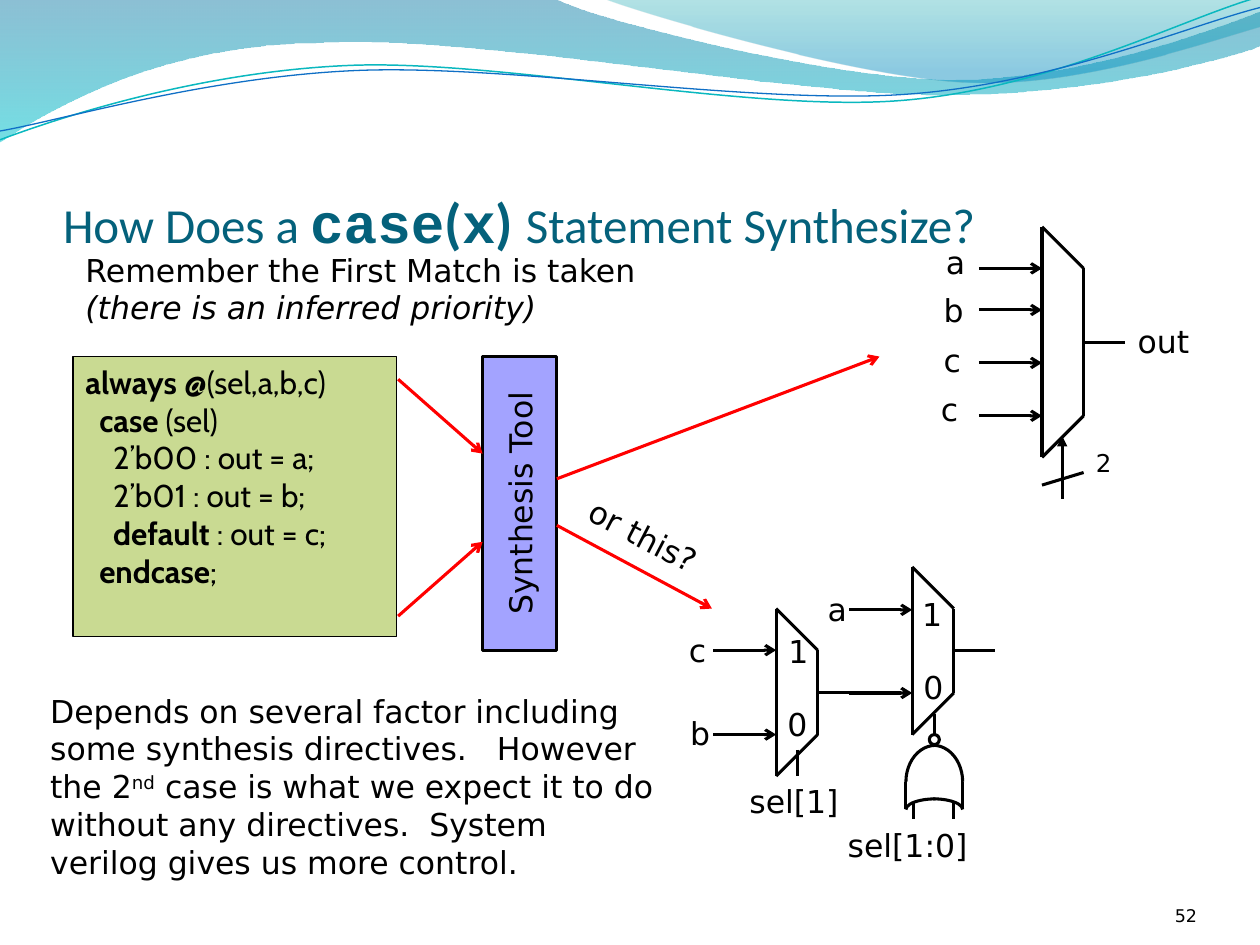
import pptx
import pptx.util
import pptx.dml.color
import pptx.enum.shapes
import pptx.enum.text
import pptx.oxml
import pptx.oxml.ns

Inches, Pt = pptx.util.Inches, pptx.util.Pt
SHAPE = pptx.enum.shapes.MSO_SHAPE
ANCHOR = pptx.enum.text.MSO_ANCHOR
ALIGN = pptx.enum.text.PP_ALIGN
qn = pptx.oxml.ns.qn

BASE = {"name": "DejaVu Sans", "size": Pt(18)}
BOLD = {"bold": True}


def color(code):
    """Turn a hex string into a colour."""
    return pptx.dml.color.RGBColor.from_string(code)


def node(tag, **attrs):
    """Make one drawing element."""
    made = pptx.oxml.parse_xml(
        '<a:%s xmlns:a="http://schemas.openxmlformats.org/drawingml/2006/main"/>' % tag)
    for key, val in attrs.items():
        made.set(key, val)
    return made


def fade(part, pct):
    """Set the opacity of every colour below an element."""
    for clr in part.iter(qn("a:srgbClr")):
        clr.append(node("alpha", val=str(pct * 1000)))


def write(frame, paras, look=BASE, hue="000000", align=ALIGN.LEFT, **form):
    """Fill a text frame with paragraphs of (text, format) runs."""
    for key, val in form.items():
        setattr(frame, key, val)
    for num, runs in enumerate(paras):
        para = frame.add_paragraph() if num else frame.paragraphs[0]
        para.alignment = align
        for text, extra in runs:
            run = para.add_run()
            run.text = text
            run.font.color.rgb = color(hue)
            for key, val in {**look, **extra}.items():
                setattr(run.font, key, val)


def label(slide, text, x, y, w=0.36, h=0.4, size=18, turn=0):
    """Place a short unwrapped text."""
    box = slide.shapes.add_textbox(Inches(x), Inches(y), Inches(w), Inches(h))
    box.rotation = turn
    write(box.text_frame, [[(text, {})]], {**BASE, "size": Pt(size)}, word_wrap=False)


def wire(slide, x1, y1, x2, y2, tip=None, hue="000000"):
    """Draw a straight line, with an optional arrowhead at its end."""
    line = slide.shapes.add_connector(
        pptx.enum.shapes.MSO_CONNECTOR.STRAIGHT,
        Inches(x1), Inches(y1), Inches(x2), Inches(y2))
    line.line.width = Pt(1.75)
    line.line.color.rgb = color(hue)
    if tip:
        line.line._get_or_add_ln().append(node("tailEnd", type=tip))
    line._element.spPr.append(node("effectLst"))


def shape(slide, kind, x, y, w, h, fill=None, width=1.75, turn=0):
    """Add a black-lined preset shape."""
    made = slide.shapes.add_shape(kind, Inches(x), Inches(y), Inches(w), Inches(h))
    made.shadow.inherit = False
    made.rotation = turn
    made.line.color.rgb = color("000000")
    made.line.width = Pt(width)
    if fill:
        made.fill.solid()
        made.fill.fore_color.rgb = color(fill)
    else:
        made.fill.background()
    return made


def trace(slide, start, parts, close):
    """Draw an outline: two numbers make a line, six make a cubic curve."""
    pts = [(Inches(part[i]), Inches(part[i + 1]))
           for part in parts for i in range(0, len(part), 2)]
    form = slide.shapes.build_freeform(Inches(start[0]), Inches(start[1]))
    form.add_line_segments(pts, close=close)
    made = form.convert_to_shape()
    made.shadow.inherit = False
    legs = iter(list(made._element.spPr.iter(qn("a:lnTo"))))
    for part in parts:
        group = [next(legs) for _ in range(len(part) // 2)]
        if len(group) == 3:
            bend = node("cubicBezTo")
            group[0].addprevious(bend)
            for leg in group:
                bend.append(leg[0])
                leg.getparent().remove(leg)
    return made


def waves(slide):
    """Draw the banner of two bands and two thin lines."""
    wide = [(4.4, -0.01), (4.76, 0.17, 6.64, 0.63, 7.58, 0.63),
            (8.53, 0.63, 9.58, 0.26, 10, 0.09), (10.01, 0.36),
            (9.83, 0.44, 8.7, 0.76, 7.46, 0.75), (6.22, 0.75, 3.82, 0.28, 2.57, 0.34),
            (1.29, 0.35, 0.46, 0.83, -0.01, 1.13)]
    right = [(5.09, 0.11, 6.82, 0.62, 7.69, 0.65), (8.56, 0.69, 9.61, 0.32, 10, 0.21), (10, 0)]
    bands = [((0, -0.01), wide, (("0074A1", 45, 0), ("00C6CF", 55, 1))),
             ((4.79, -0.01), right, (("00A1A9", 30, 0), ("008BBF", 45, 0.8)))]
    for start, parts, stops in bands:
        band = trace(slide, start, parts, True)
        band.line.fill.background()
        band.fill.gradient()
        band.fill.gradient_angle = 270
        marks = band._element.spPr.iter(qn("a:gs"))
        for stop, mark, (hue, pct, pos) in zip(band.fill.gradient_stops, marks, stops):
            stop.color.rgb = color(hue)
            stop.position = pos
            fade(mark, pct)
    upper = [(0.48, 0.93, 1.58, 0.57, 2.77, 0.52), (3.95, 0.47, 5.93, 0.89, 7.13, 0.8),
             (8.33, 0.71, 9.38, 0.15, 9.98, -0.02)]
    lower = [(0.47, 0.96, 1.64, 0.61, 2.83, 0.56), (4.03, 0.51, 5.97, 0.83, 7.17, 0.75),
             (8.36, 0.67, 9.41, 0.21, 10, 0.06)]
    for top, parts, hue, width in ((1.11, upper, "0AB8BF", 0.85), (1.04, lower, "0F6FC6", 0.75)):
        line = trace(slide, (0, top), parts, False)
        line.fill.background()
        line.line.color.rgb = color(hue)
        line.line.width = Pt(width)


def head(slide, x, y, w, h):
    """Fill the title placeholder."""
    title = slide.shapes.title
    spot = {"left": x, "top": y, "width": w, "height": h}
    for key, val in spot.items():
        setattr(title, key, Inches(val))
    big = {"size": Pt(32), "bold": True}
    mono = {**big, "name": "Courier New"}
    write(title.text_frame,
          [[("How Does a ", {}), ("case", mono), ("(", big), ("x", mono), (") ", big),
            ("Statement Synthesize?", {})]],
          {"name": "Calibri", "size": Pt(28)}, "04617B",
          vertical_anchor=ANCHOR.BOTTOM, word_wrap=True, margin_left=0, margin_right=0,
          margin_top=Inches(0.05), margin_bottom=0,
          auto_size=pptx.enum.text.MSO_AUTO_SIZE.NONE)


def code(slide, x, y, w, h):
    """Draw the box of source code, indented by level."""
    box = shape(slide, SHAPE.RECTANGLE, x, y, w, h, "C9DA92", 0.75)
    rows = [(0, [("always", BOLD), (" @(sel,a,b,c)", {})]),
            (1, [("case", BOLD), (" (sel)", {})]),
            (2, [("2’b00 : out = a;", {})]),
            (2, [("2’b01 : out = b;", {})]),
            (2, [("default", BOLD), (" : out = c;", {})]),
            (1, [("endcase", BOLD), (";", {})])]
    write(box.text_frame, [runs for _, runs in rows], {**BASE, "name": "Cabin"},
          vertical_anchor=ANCHOR.TOP, word_wrap=True)
    for para, (level, _) in zip(box.text_frame.paragraphs, rows):
        para._p.get_or_add_pPr().set("marL", str(Inches(0.11 * level)))


def tool(slide, x, y, w, h):
    """Draw the upright tool block with its red arrows."""
    box = shape(slide, SHAPE.RECTANGLE, x + (w - h) / 2, y + (h - w) / 2, h, w,
                "6969FF", turn=270)
    fade(box._element.spPr.find(qn("a:solidFill")), 61)
    write(box.text_frame, [[("Synthesis Tool", {})]], align=ALIGN.CENTER,
          vertical_anchor=ANCHOR.MIDDLE, word_wrap=False)
    for x1, y1, x2, y2 in ((-0.67, 0.18, 0, 0.77), (-0.67, 2.06, 0, 1.47),
                           (w, 0.97, 3.15, 0), (w, 1.34, 1.82, 2)):
        wire(slide, x + x1, y + y1, x + x2, y + y2, "arrow", "FF0000")
    label(slide, "or this?", x + 0.71, y + 1.24, 1.2, turn=27.5)


def mux(slide, x, y, h, ports, names):
    """Draw a multiplexer with input arrows, output and labels."""
    w = 0.33
    pts = [(x, y), (x + w, y + w), (x + w, y + h - w), (x, y + h)]
    for one, two in zip(pts, pts[1:] + pts[:1]):
        wire(slide, *one, *two)
    for port in ports:
        wire(slide, x - 0.5, y + port, x, y + port, "arrow")
    wire(slide, x + w, y + h / 2, x + 2 * w, y + h / 2)
    for text, dx, dy in names:
        label(slide, text, x + dx, y + dy)


def gate(slide, x, y, w):
    """Draw the upright NOR gate with its bubble and leads."""
    mid = x + w / 2
    for top, wide in ((0.3, 0.58), (0.52, 0.17)):
        for dx in (0.01, -0.01):
            arc = shape(slide, SHAPE.ARC, mid - wide / 2 + dx, y + top, wide, 0.47, turn=270)
            if dx < 0:
                arc._element.spPr.find(qn("a:xfrm")).set("flipV", "1")
    for dx, top, end in ((0, 0.54, 0.75), (w, 0.54, 0.75), (0.06, 0.7, 0.83),
                         (w - 0.07, 0.7, 0.83), (w / 2, 0, 0.16)):
        wire(slide, x + dx, y + top, x + dx, y + end)
    shape(slide, SHAPE.OVAL, mid - 0.04, y + 0.16, 0.08, 0.08, "FFFFFF")
    label(slide, "sel[1:0]", x - 0.56, y + 0.84, 1.26)


def note(slide, x, y, w, h, paras, **form):
    """Place a block of text."""
    box = slide.shapes.add_textbox(Inches(x), Inches(y), Inches(w), Inches(h))
    write(box.text_frame, paras, **{"word_wrap": True, **form})
    return box


def main():
    """Build the slide."""
    deck = pptx.Presentation()
    deck.slide_width, deck.slide_height = Inches(10), Inches(7.5)
    slide = deck.slides.add_slide(deck.slide_layouts[5])
    waves(slide)
    head(slide, 0.5, 0.77, 9, 1.25)
    note(slide, 0.58, 1.94, 4.65, 0.71,
         [[("Remember the First Match is taken", {})],
          [("(there is an inferred priority)", {"italic": True})]], word_wrap=False)
    code(slide, 0.58, 2.83, 2.57, 2.22)
    tool(slide, 3.83, 2.83, 0.59, 2.33)
    mux(slide, 8.27, 1.8, 1.83, (0.33, 0.66, 1.08, 1.5),
        (("a", -0.86, 0.08), ("b", -0.88, 0.46), ("c", -0.88, 0.86), ("c", -0.9, 1.25)))
    wire(slide, 8.43, 3.96, 8.43, 3.46, "triangle")
    wire(slide, 8.27, 3.85, 8.6, 3.75)
    label(slide, "2", 8.6, 3.51, 0.33, 0.34, 14)
    label(slide, "out", 8.93, 2.51, 0.61)
    mux(slide, 7.24, 4.5, 1.33, (0.34, 1),
        (("a", -0.77, 0.13), ("1", -0.02, 0.17), ("0", -0.01, 0.75)))
    mux(slide, 6.16, 4.83, 1.33, (0.33, 1),
        (("c", -0.79, 0.13), ("b", -0.78, 0.79), ("1", 0, 0.14), ("0", -0.01, 0.72)))
    wire(slide, 6.33, 5.95, 6.33, 6.16)
    label(slide, "sel[1]", 5.85, 6.16, 0.94)
    gate(slide, 7.19, 5.67, 0.45)
    body = note(slide, 0.3, 5.44, 5.07, 1.61,
                [[("Depends on several factor including", {})],
                 [("some synthesis directives.   However the 2", {}), ("nd", {}),
                  (" case is what we expect it to do without any directives.  "
                   "System verilog gives us more control.", {})]])
    mark = body.text_frame.paragraphs[1].runs[1]
    mark._r.get_or_add_rPr().set("baseline", "30000")
    note(slide, 8.67, 6.95, 0.83, 0.4, [[("52", {"size": Pt(10)})]], align=ALIGN.RIGHT,
         vertical_anchor=ANCHOR.BOTTOM, margin_left=0, margin_right=0,
         margin_top=0, margin_bottom=0)
    deck.save("out.pptx")


main()
